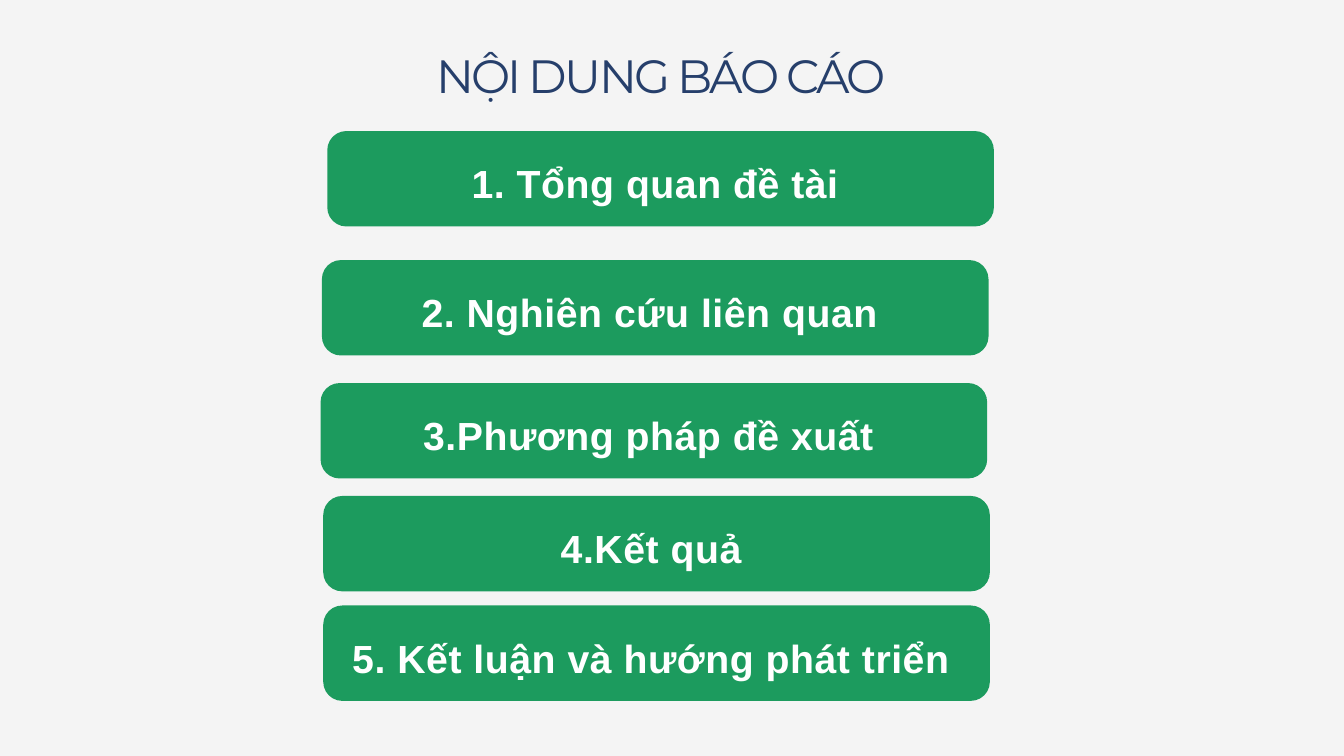
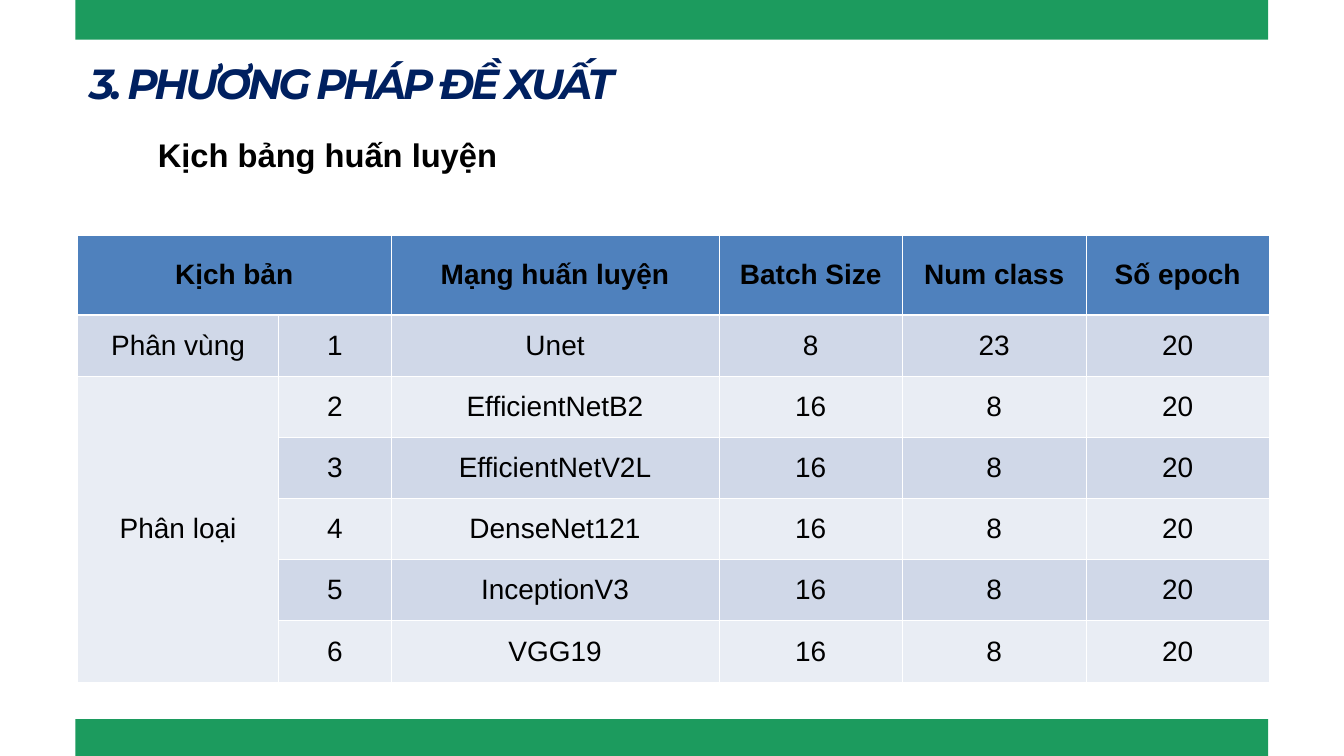
from dataclasses import dataclass

from lxml import etree
from pptx import Presentation
from pptx import util as u
from pptx.dml.color import RGBColor
from pptx.enum import shapes, text
from pptx.oxml import ns


# Shared theme
@dataclass(frozen=True)
class TextStyle:
    font: str
    size: float
    color: str
    bold: bool = False
    italic: bool = False
    tracking: float = 0


@dataclass(frozen=True)
class Theme:
    green: str = "1C9B5E"
    white: str = "FFFFFF"
    pale_gray: str = "F4F4F4"
    header_blue: str = "4F81BD"
    row_bands: tuple[str, str] = ("D0D8E8", "E9EDF4")
    agenda_title: TextStyle = TextStyle("Montserrat", 50, "263F6B", tracking=-2.9)
    section_title: TextStyle = TextStyle("Montserrat", 45, "002060", True, True, -3.5)
    agenda_item: TextStyle = TextStyle("Arial", 42, "FFFFFF", True, tracking=0.6)
    subtitle: TextStyle = TextStyle("Arial", 35, "000000", True)
    table_head: TextStyle = TextStyle("Arial", 30, "000000", True)
    table_body: TextStyle = TextStyle("Arial", 30, "000000")


THEME = Theme()
LEFT, CENTER = text.PP_ALIGN.LEFT, text.PP_ALIGN.CENTER


@dataclass(frozen=True)
class Area:
    left: float
    top: float
    width: float
    height: float

    def lengths(self) -> tuple:
        return tuple(u.Inches(v) for v in (self.left, self.top, self.width, self.height))


@dataclass(frozen=True)
class AgendaItem:
    label: str
    left: float
    top: float


# Slide content
AGENDA = (
    AgendaItem("1. Tổng quan đề tài", 4.87, 1.95),
    AgendaItem("2. Nghiên cứu liên quan", 4.79, 3.87),
    AgendaItem("3.Phương pháp đề xuất", 4.77, 5.7),
    AgendaItem("4.Kết quả", 4.81, 7.38),
    AgendaItem("5. Kết luận và hướng phát triển", 4.81, 9.01),
)
HEADINGS = ("Kịch bản", "", "Mạng huấn luyện", "Batch Size", "Num class", "Số epoch")
NETWORKS = ("Unet", "EfficientNetB2", "EfficientNetV2L", "DenseNet121", "InceptionV3", "VGG19")
COLUMN_WIDTHS = (3, 1.67, 4.88, 2.73, 2.73, 2.73)
HEAD_HEIGHT, ROW_HEIGHT = 1.19, 0.91


# Drawing helpers
def rgb(color: str) -> RGBColor:
    return RGBColor.from_string(color)


def write(frame, words: str, style: TextStyle, align=LEFT, spacing: float | None = None) -> None:
    para = frame.paragraphs[0]
    para.alignment = align
    if spacing:
        para.line_spacing = u.Pt(spacing)
    span = para.add_run()
    span.text = words
    font = span.font
    font.name, font.size = style.font, u.Pt(style.size)
    font.bold, font.italic = style.bold, style.italic
    font.color.rgb = rgb(style.color)
    if style.tracking:
        span._r.get_or_add_rPr().set("spc", str(round(style.tracking * 100)))


def set_margins(frame, left: float = 0, top: float = 0, right: float = 0, bottom: float = 0) -> None:
    frame.margin_left, frame.margin_top = u.Inches(left), u.Inches(top)
    frame.margin_right, frame.margin_bottom = u.Inches(right), u.Inches(bottom)


def add_page(deck, background: str, title: str, area: Area, style: TextStyle, align, spacing: float):
    page = deck.slides.add_slide(deck.slide_layouts.get_by_name("Title Only"))
    page.background.fill.solid()
    page.background.fill.fore_color.rgb = rgb(background)
    box = page.shapes.title
    box.left, box.top, box.width, box.height = area.lengths()
    frame = box.text_frame
    frame.auto_size = text.MSO_AUTO_SIZE.NONE
    frame.vertical_anchor = text.MSO_ANCHOR.TOP
    frame.word_wrap = True
    set_margins(frame)
    write(frame, title, style, align, spacing)
    return page


def add_green_shape(page, kind, area: Area):
    shape = page.shapes.add_shape(kind, *area.lengths())
    shape.shadow.inherit = False
    shape.fill.solid()
    shape.fill.fore_color.rgb = rgb(THEME.green)
    shape.line.fill.background()
    return shape


def add_agenda_item(page, item: AgendaItem) -> None:
    area = Area(item.left, item.top, 9.92, 1.42)
    button = add_green_shape(page, shapes.MSO_SHAPE.ROUNDED_RECTANGLE, area)
    button.adjustments[0] = 0.2
    frame = button.text_frame
    frame.word_wrap = True
    frame.vertical_anchor = text.MSO_ANCHOR.TOP
    set_margins(frame, top=0.5, right=0.16)
    write(frame, item.label, THEME.agenda_item, CENTER, 39)


def set_borders(cell, top: float, bottom: float) -> None:
    properties = cell._tc.get_or_add_tcPr()
    for edge, width in (("L", 1), ("R", 1), ("T", top), ("B", bottom)):
        line = etree.SubElement(properties, ns.qn(f"a:ln{edge}"), w=str(u.Pt(width)))
        fill = etree.SubElement(line, ns.qn("a:solidFill"))
        etree.SubElement(fill, ns.qn("a:srgbClr"), val=THEME.white)


def scenario_rows() -> list[tuple[str, ...]]:
    rows = [HEADINGS]
    for number, network in enumerate(NETWORKS, 1):
        group = {1: "Phân vùng", 2: "Phân loại"}.get(number, "")
        batch, classes = ("8", "23") if number == 1 else ("16", "8")
        rows.append((group, str(number), network, batch, classes, "20"))
    return rows


def add_scenario_table(page) -> None:
    rows = scenario_rows()
    area = Area(1.15, 3.5, sum(COLUMN_WIDTHS), HEAD_HEIGHT + ROW_HEIGHT * len(NETWORKS))
    table = page.shapes.add_table(len(rows), len(HEADINGS), *area.lengths()).table
    for column, width in zip(table.columns, COLUMN_WIDTHS):
        column.width = u.Inches(width)
    for index, words in enumerate(rows):
        is_head = index == 0
        table.rows[index].height = u.Inches(HEAD_HEIGHT if is_head else ROW_HEIGHT)
        fill = THEME.header_blue if is_head else THEME.row_bands[(index - 1) % 2]
        style = THEME.table_head if is_head else THEME.table_body
        for cell, word in zip(table.rows[index].cells, words):
            set_borders(cell, top=3 if index == 1 else 1, bottom=3 if is_head else 1)
            cell.fill.solid()
            cell.fill.fore_color.rgb = rgb(fill)
            cell.vertical_anchor = text.MSO_ANCHOR.MIDDLE
            if word:
                write(cell.text_frame, word, style, CENTER)
    table.cell(0, 0).merge(table.cell(0, 1))
    table.cell(2, 0).merge(table.cell(len(NETWORKS), 0))


# Slides
def build_agenda(deck) -> None:
    page = add_page(deck, THEME.pale_gray, "NỘI DUNG BÁO CÁO", Area(2.17, 0.85, 15.33, 0.7),
                    THEME.agenda_title, CENTER, 49)
    for item in AGENDA:
        add_agenda_item(page, item)


def build_scenarios(deck) -> None:
    page = add_page(deck, THEME.white, "3. PHƯƠNG PHÁP ĐỀ XUẤT", Area(1.33, 0.79, 18.88, 0.78),
                    THEME.section_title, LEFT, 58.8)
    for band_top in (10.7, -0.89):
        add_green_shape(page, shapes.MSO_SHAPE.RECTANGLE, Area(1.12, band_top, 17.75, 1.48))
    add_scenario_table(page)
    box = page.shapes.add_textbox(*Area(2.25, 1.96, 5.31, 0.69).lengths())
    box.text_frame.word_wrap = False
    write(box.text_frame, "Kịch bảng huấn luyện", THEME.subtitle)


def main() -> None:
    deck = Presentation()
    deck.slide_width, deck.slide_height = u.Inches(20), u.Inches(11.25)
    build_agenda(deck)
    build_scenarios(deck)
    deck.save("out.pptx")


if __name__ == "__main__":
    main()
